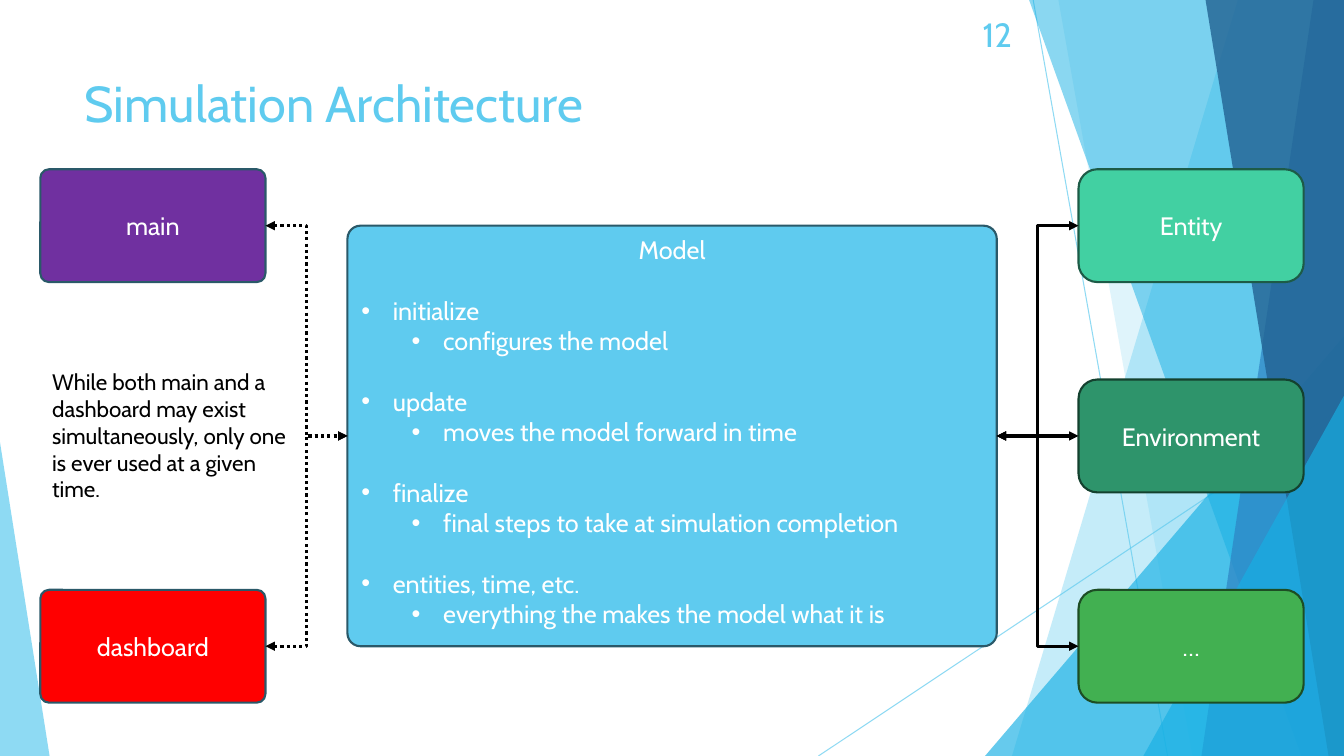
"""Build the simulation architecture slide."""
import dataclasses

import lxml.etree
import pptx
import pptx.dml.color
import pptx.enum.dml
import pptx.enum.shapes
import pptx.enum.text
import pptx.oxml.ns
import pptx.util

Pt = pptx.util.Pt
qn = pptx.oxml.ns.qn
SHAPES = pptx.enum.shapes.MSO_SHAPE
CONNECTORS = pptx.enum.shapes.MSO_CONNECTOR
ALIGN = pptx.enum.text.PP_ALIGN
ANCHOR = pptx.enum.text.MSO_ANCHOR
DASH = pptx.enum.dml.MSO_LINE


@dataclasses.dataclass(frozen=True)
class Theme:
    font: str = "Cabin"
    title_size: float = 36
    number_size: float = 24
    label_size: float = 18
    note_size: float = 16
    list_gap: float = 21.75
    sky: str = "5FCBEF"
    cyan: str = "17B0E4"
    blue: str = "2E83C3"
    navy: str = "226292"
    outline: str = "2A5969"
    purple: str = "7030A0"
    red: str = "FF0000"
    mint: str = "42D0A2"
    mint_outline: str = "1D5B47"
    teal: str = "2E946B"
    teal_outline: str = "14412F"
    green: str = "42B051"
    green_outline: str = "1D4D24"
    white: str = "FFFFFF"
    black: str = "000000"


class SlideBuilder:
    def __init__(self, slide, theme):
        self.slide = slide
        self.theme = theme

    def apply(self, target, values):
        for name, value in values.items():
            setattr(target, name, value)

    def place(self, shape, box):
        names = ("left", "top", "width", "height")
        self.apply(shape, dict(zip(names, map(Pt, box))))
        shape._element.getparent().append(shape._element)

    def paint(self, fill, color):
        fill.solid()
        fill.fore_color.rgb = pptx.dml.color.RGBColor.from_string(color)

    def fade(self, shape, opacity):
        for color in shape._element.spPr.findall(".//" + qn("a:srgbClr")):
            lxml.etree.SubElement(color, qn("a:alpha"), val=str(opacity * 1000))

    def outline(self, shape, color, width):
        self.paint(shape.line.fill, color)
        shape.line.width = Pt(width)

    def add_text(self, paragraph, text, size, color, **values):
        run = paragraph.add_run()
        run.text = text
        self.apply(run.font, {"name": self.theme.font, "size": Pt(size)})
        self.paint(run.font.fill, color)
        self.apply(paragraph, {"space_before": Pt(0), **values})

    def frame(self, shape, anchor):
        self.apply(shape.text_frame, {
            "word_wrap": True,
            "auto_size": pptx.enum.text.MSO_AUTO_SIZE.NONE,
            "vertical_anchor": anchor,
        })
        return shape.text_frame

    def backdrop(self, shape, color, opacity):
        self.paint(shape.fill, color)
        self.fade(shape, opacity)
        shape.line.fill.background()
        shape.shadow.inherit = False

    def panel(self, top_x, bottom_x, color, opacity):
        builder = self.slide.shapes.build_freeform(Pt(top_x), 0)
        corners = [(960, 0), (960, 540), (bottom_x, 540)]
        builder.add_line_segments([(Pt(x), Pt(y)) for x, y in corners])
        self.backdrop(builder.convert_to_shape(), color, opacity)

    def triangle(self, box, apex, color, opacity):
        shape = self.slide.shapes.add_shape(SHAPES.ISOSCELES_TRIANGLE, *map(Pt, box))
        shape.adjustments[0] = apex
        self.backdrop(shape, color, opacity)

    def title(self, text, box):
        shape = self.slide.shapes.title
        self.place(shape, box)
        paragraph = self.frame(shape, ANCHOR.TOP).paragraphs[0]
        self.add_text(paragraph, text, self.theme.title_size, self.theme.sky,
                      alignment=ALIGN.LEFT)

    def text(self, text, box, size, color, anchor, alignment):
        shape = self.slide.shapes.add_textbox(*map(Pt, box))
        paragraph = self.frame(shape, anchor).paragraphs[0]
        self.add_text(paragraph, text, size, color, alignment=alignment)

    def node(self, text, box, fill, line, corner):
        shape = self.slide.shapes.add_shape(SHAPES.ROUNDED_RECTANGLE, *map(Pt, box))
        shape.adjustments[0] = corner
        self.paint(shape.fill, fill)
        self.outline(shape, line, 1.5)
        shape.shadow.inherit = False
        paragraph = self.frame(shape, ANCHOR.MIDDLE).paragraphs[0]
        self.add_text(paragraph, text, self.theme.label_size, self.theme.white,
                      alignment=ALIGN.CENTER)
        return shape

    def list_item(self, paragraph, text, level, gap):
        self.add_text(paragraph, text, self.theme.label_size, self.theme.white,
                      alignment=ALIGN.LEFT, level=level, space_before=Pt(gap))
        properties = paragraph._p.get_or_add_pPr()
        properties.set("marL", str(Pt(22.5 + 36 * level)))
        properties.set("indent", str(Pt(-22.5)))
        lxml.etree.SubElement(properties, qn("a:buFont"), typeface="Arial")
        lxml.etree.SubElement(properties, qn("a:buChar"), char="•")

    def model(self, heading, items, box):
        shape = self.slide.placeholders[1]
        self.place(shape, box)
        geometry = lxml.etree.Element(qn("a:prstGeom"), prst="roundRect")
        guides = lxml.etree.SubElement(geometry, qn("a:avLst"))
        lxml.etree.SubElement(guides, qn("a:gd"), name="adj", fmla="val 3100")
        shape._element.spPr.find(qn("a:xfrm")).addnext(geometry)
        self.paint(shape.fill, self.theme.sky)
        self.outline(shape, self.theme.outline, 1.5)
        shape.shadow.inherit = False
        frame = self.frame(shape, ANCHOR.TOP)
        paragraph = frame.paragraphs[0]
        self.add_text(paragraph, heading, self.theme.label_size, self.theme.white,
                      alignment=ALIGN.CENTER)
        properties = paragraph._p.get_or_add_pPr()
        properties.set("marL", "0")
        properties.set("indent", "0")
        lxml.etree.SubElement(properties, qn("a:buNone"))
        for name, purpose in items:
            self.list_item(frame.add_paragraph(), name, 0, self.theme.list_gap)
            self.list_item(frame.add_paragraph(), purpose, 1, 0)
        return shape

    def line(self, kind, ends, color, width):
        connector = self.slide.shapes.add_connector(kind, *map(Pt, ends))
        self.outline(connector, color, width)
        lxml.etree.SubElement(connector._element.spPr, qn("a:effectLst"))
        return connector

    def arrow(self, kind, start, start_site, end, end_site, dash):
        connector = self.line(kind, (0, 0, 0, 0), self.theme.black, 2.25)
        connector.begin_connect(start, start_site)
        connector.end_connect(end, end_site)
        connector.line.dash_style = dash
        stroke = connector._element.spPr.find(qn("a:ln"))
        for tip in ("a:headEnd", "a:tailEnd"):
            lxml.etree.SubElement(stroke, qn(tip), type="triangle")


def main():
    theme = Theme()
    presentation = pptx.Presentation()
    presentation.slide_width, presentation.slide_height = Pt(960), Pt(540)
    slide = presentation.slides.add_slide(presentation.slide_layouts[1])
    builder = SlideBuilder(slide, theme)

    for ends in [(738, 0, 834, 540), (960, 290, 584.6, 540)]:
        builder.fade(builder.line(CONNECTORS.STRAIGHT, ends, theme.sky, 0.75), 70)
    builder.panel(884.2, 722.9, theme.sky, 36)
    builder.panel(756, 851.8, theme.sky, 20)
    builder.triangle((703.6, 240, 256.4, 300), 1, theme.cyan, 66)
    builder.panel(735.1, 929.5, theme.cyan, 50)
    builder.panel(938.2, 858.2, theme.blue, 70)
    builder.panel(861.1, 949, theme.navy, 80)
    builder.triangle((816.7, 282.7, 143.3, 257.3), 1, theme.cyan, 66)
    builder.triangle((0, 316, 35.4, 224), 0, theme.sky, 70)

    builder.text("12", (676, 10.3, 54, 28.8), theme.number_size, theme.sky,
                 ANCHOR.MIDDLE, ALIGN.RIGHT)
    builder.title("Simulation Architecture", (53.3, 48, 676.8, 104))
    model = builder.model("Model", [
        ("initialize", "configures the model"),
        ("update", "moves the model forward in time"),
        ("finalize", "final steps to take at simulation completion"),
        ("entities, time, etc.", "everything the makes the model what it is"),
    ], (248.2, 161.2, 463.8, 300.4))

    left, right, first_top, row_step = 28.8, 770.4, 120.9, 150.2
    node_size = (160.8, 80.6)
    parts = [
        ("Entity", theme.mint, theme.mint_outline, CONNECTORS.ELBOW),
        ("Environment", theme.teal, theme.teal_outline, CONNECTORS.STRAIGHT),
        ("…", theme.green, theme.green_outline, CONNECTORS.ELBOW),
    ]
    for row, (text, fill, line, kind) in enumerate(parts):
        box = (right, first_top + row * row_step, *node_size)
        node = builder.node(text, box, fill, line, 0.167)
        builder.arrow(kind, node, 1, model, 3, DASH.SOLID)
    for row, text, fill in [(0, "main", theme.purple), (2, "dashboard", theme.red)]:
        box = (left, first_top + row * row_step, *node_size)
        node = builder.node(text, box, fill, theme.outline, 0.077)
        builder.arrow(CONNECTORS.ELBOW, node, 3, model, 1, DASH.ROUND_DOT)

    builder.text("While both main and a dashboard may exist simultaneously, "
                 "only one is ever used at a given time.",
                 (30.2, 259.4, 188.6, 104.4), theme.note_size, theme.black,
                 ANCHOR.TOP, ALIGN.LEFT)
    presentation.save("out.pptx")


if __name__ == "__main__":
    main()
